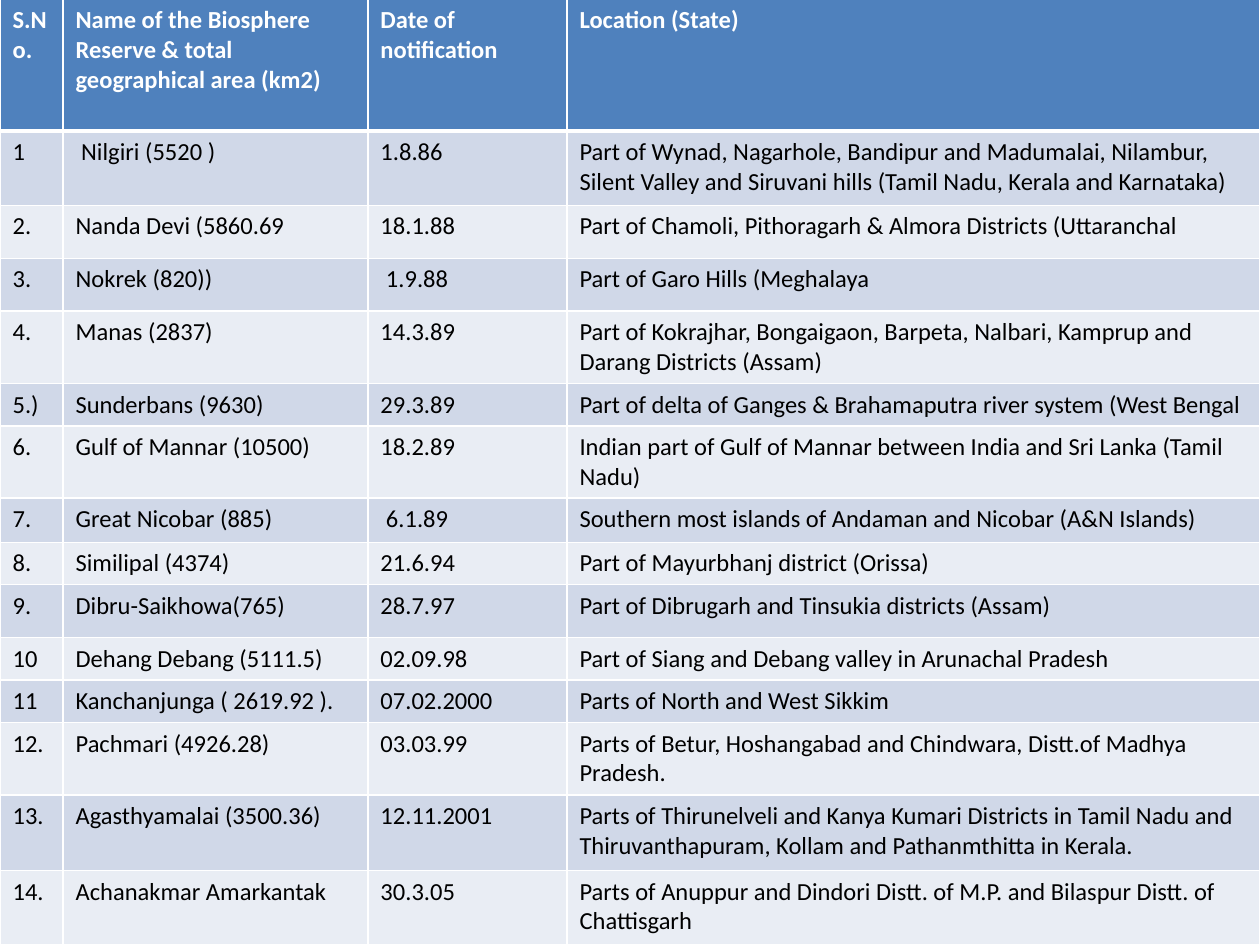
"""Build a slide with a table of the biosphere reserves of India."""
import pptx
import pptx.util
import pptx.dml.color
import pptx.oxml

HEAD = ("S.No.", "Name of the Biosphere Reserve & total geographical area (km2)",
        "Date of notification", "Location (State)")
ROWS = [
    ("1", " Nilgiri (5520 )", "1.8.86",
     "Part of Wynad, Nagarhole, Bandipur and Madumalai, Nilambur, "
     "Silent Valley and Siruvani hills (Tamil Nadu, Kerala and Karnataka)"),
    ("2.", "Nanda Devi (5860.69", "18.1.88",
     "Part of Chamoli, Pithoragarh & Almora Districts (Uttaranchal"),
    ("3.", "Nokrek (820))", " 1.9.88", "Part of Garo Hills (Meghalaya"),
    ("4.", "Manas (2837)", "14.3.89",
     "Part of Kokrajhar, Bongaigaon, Barpeta, Nalbari, Kamprup and "
     "Darang Districts (Assam)"),
    ("5.)", "Sunderbans (9630)", "29.3.89",
     "Part of delta of Ganges & Brahamaputra river system (West Bengal"),
    ("6.", "Gulf of Mannar (10500)", "18.2.89",
     "Indian part of Gulf of Mannar between India and Sri Lanka (Tamil Nadu)"),
    ("7.", "Great Nicobar (885)", " 6.1.89",
     "Southern most islands of Andaman and Nicobar (A&N Islands)"),
    ("8.", "Similipal (4374)", "21.6.94", "Part of Mayurbhanj district (Orissa)"),
    ("9.", "Dibru-Saikhowa(765)", "28.7.97",
     "Part of Dibrugarh and Tinsukia districts (Assam)"),
    ("10", "Dehang Debang (5111.5)", "02.09.98",
     "Part of Siang and Debang valley in Arunachal Pradesh"),
    ("11", "Kanchanjunga ( 2619.92 ).", "07.02.2000",
     "Parts of North and West Sikkim"),
    ("12.", "Pachmari (4926.28)", "03.03.99",
     "Parts of Betur, Hoshangabad and Chindwara, Distt.of Madhya Pradesh."),
    ("13.", "Agasthyamalai (3500.36)", "12.11.2001",
     "Parts of Thirunelveli and Kanya Kumari Districts in Tamil Nadu and "
     "Thiruvanthapuram, Kollam and Pathanmthitta in Kerala."),
    ("14.", "Achanakmar Amarkantak", "30.3.05",
     "Parts of Anuppur and Dindori Distt. of M.P. and Bilaspur Distt. of Chattisgarh"),
]
WIDE, HIGH = 10, 7.5
TOP, TALL = -0.01, 7.46
COLS = (0.5, 2.42, 1.58, 5.5)
LINES = (1.05, 0.59, 0.42, 0.42, 0.57, 0.33, 0.42, 0.35,
         0.33, 0.42, 0.33, 0.33, 0.42, 0.6, 0.59)
THEME = {"font": "Calibri", "size": 14, "head": "4F81BD", "bands": ("E9EDF4", "D0D8E8"),
         "light": "FFFFFF", "dark": "000000", "thin": 1, "thick": 3}
SPACE = "http://schemas.openxmlformats.org/drawingml/2006/main"


def color(code):
    """Turn a hex code into a colour."""
    return pptx.dml.color.RGBColor.from_string(code)


def style(cell, text, fill, ink, bold):
    """Fill one cell and set its text."""
    cell.fill.solid()
    cell.fill.fore_color.rgb = color(fill)
    cell.text_frame.text = text
    font = cell.text_frame.paragraphs[0].runs[0].font
    font.name, font.size, font.bold = THEME["font"], pptx.util.Pt(THEME["size"]), bold
    font.color.rgb = color(ink)


def edge(cell, top, low):
    """Draw the four borders of one cell, given its top and bottom widths."""
    thin = THEME["thin"]
    props = cell._tc.get_or_add_tcPr()
    for spot, (side, size) in enumerate(zip("LRTB", (thin, thin, top, low))):
        props.insert(spot, pptx.oxml.parse_xml(
            f'<a:ln{side} xmlns:a="{SPACE}" w="{pptx.util.Pt(size)}"><a:solidFill>'
            f'<a:srgbClr val="{THEME["light"]}"/></a:solidFill></a:ln{side}>'))


def main():
    """Lay out the table and save the deck."""
    inch = pptx.util.Inches
    deck = pptx.Presentation()
    deck.slide_width, deck.slide_height = inch(WIDE), inch(HIGH)
    slide = deck.slides.add_slide(deck.slide_layouts[6])
    frame = slide.shapes.add_table(len(ROWS) + 1, len(COLS), 0, inch(TOP),
                                   inch(WIDE), inch(TALL))
    table = frame.table
    for col, width in zip(table.columns, COLS):
        col.width = inch(width)
    for num, (line, size) in enumerate(zip([HEAD] + ROWS, LINES)):
        table.rows[num].height = inch(size)
        top = num == 0
        fill = THEME["head"] if top else THEME["bands"][num % 2]
        ink = THEME["light"] if top else THEME["dark"]
        above = THEME["thick"] if num == 1 else THEME["thin"]
        below = THEME["thick"] if top else THEME["thin"]
        for spot, text in enumerate(line):
            cell = table.cell(num, spot)
            style(cell, text, fill, ink, top)
            edge(cell, above, below)
    frame.height = inch(TALL)
    deck.save("out.pptx")


if __name__ == "__main__":
    main()
